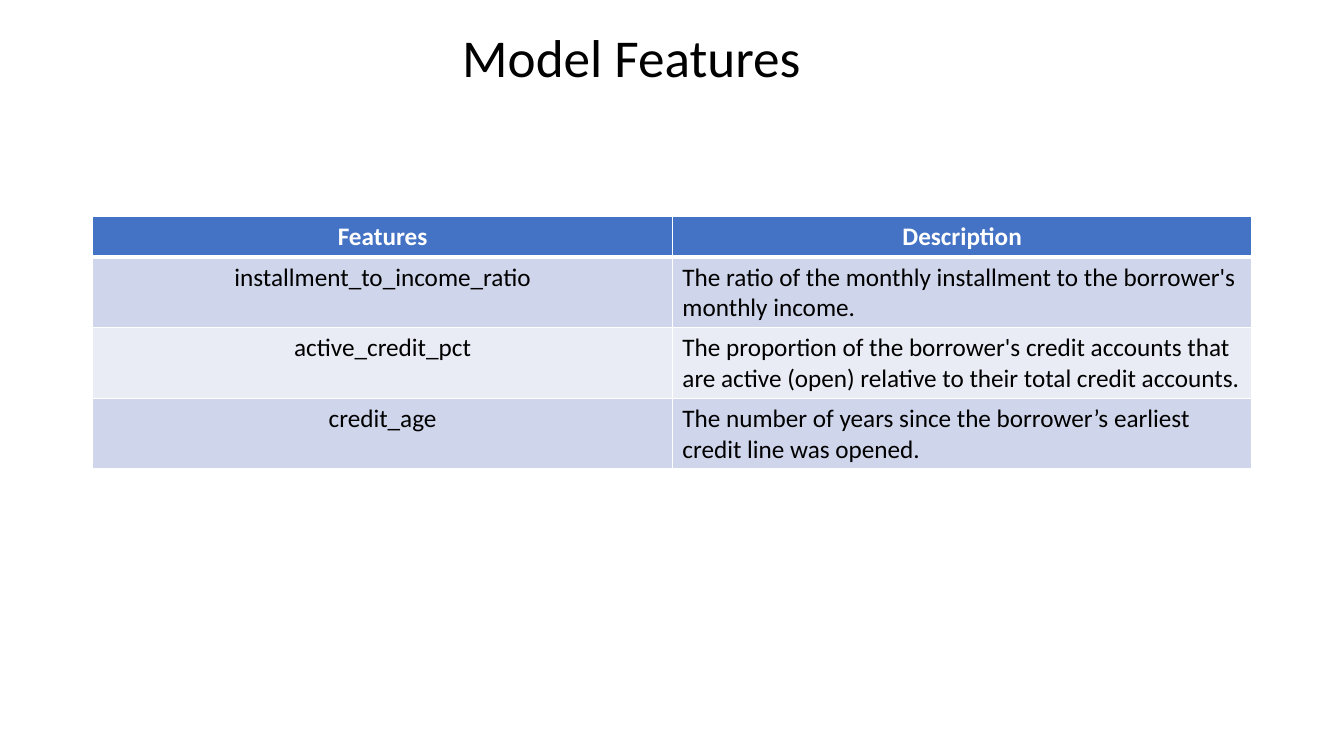
from dataclasses import dataclass

from lxml.etree import SubElement
from pptx import Presentation
from pptx.dml.color import RGBColor
from pptx.enum.text import MSO_ANCHOR, PP_ALIGN
from pptx.oxml.ns import qn
from pptx.util import Cm, Pt

TITLE = "Model Features"
HEADER = ("Features", "Description")
FEATURES = [
    ("installment_to_income_ratio",
     "The ratio of the monthly installment to the borrower's monthly income."),
    ("active_credit_pct",
     "The proportion of the borrower's credit accounts that are active (open) "
     "relative to their total credit accounts."),
    ("credit_age",
     "The number of years since the borrower’s earliest credit line was opened."),
]


@dataclass(frozen=True)
class Theme:
    font: str = "Calibri"
    title_size: int = 38
    table_size: int = 18
    ink: str = "000000"
    white: str = "FFFFFF"
    header_fill: str = "4472C4"
    band_fills: tuple = ("CFD5EA", "E9EBF5")
    thin_rule: int = 1
    thick_rule: int = 3


THEME = Theme()
CONTENT_WIDTH = Cm(29.21)
HEADER_HEIGHT = Cm(1.03)
FEATURE_HEIGHT = Cm(1.78)


def add_span(para, text, size, color, bold=False):
    span = para.add_run()
    span.text = text
    span.font.name = THEME.font
    span.font.size = Pt(size)
    span.font.bold = bold
    span.font.color.rgb = RGBColor.from_string(color)


def add_border(cell, side, width):
    line = SubElement(cell._tc.get_or_add_tcPr(), qn(f"a:{side}"), w=str(Pt(width)))
    fill = SubElement(line, qn("a:solidFill"))
    SubElement(fill, qn("a:srgbClr"), val=THEME.white)


def add_title(page):
    box = page.shapes.add_textbox(Cm(11.4), Cm(-0.33), CONTENT_WIDTH, Cm(3.68))
    frame = box.text_frame
    frame.word_wrap = True
    frame.vertical_anchor = MSO_ANCHOR.MIDDLE
    para = frame.paragraphs[0]
    para.line_spacing = 0.9
    add_span(para, TITLE, THEME.title_size, THEME.ink)


def fill_cell(cell, text, row, column):
    is_header = row == 0
    para = cell.text_frame.paragraphs[0]
    centered = is_header or column == 0
    para.alignment = PP_ALIGN.CENTER if centered else PP_ALIGN.LEFT
    color = THEME.white if is_header else THEME.ink
    add_span(para, text, THEME.table_size, color, is_header)
    for side in ("lnL", "lnR", "lnT", "lnB"):
        header_rule = (row, side) in ((0, "lnB"), (1, "lnT"))
        add_border(cell, side, THEME.thick_rule if header_rule else THEME.thin_rule)
    band = THEME.band_fills[(row - 1) % len(THEME.band_fills)]
    cell.fill.solid()
    cell.fill.fore_color.rgb = RGBColor.from_string(
        THEME.header_fill if is_header else band)


def add_feature_table(page):
    rows = [HEADER, *FEATURES]
    height = HEADER_HEIGHT + FEATURE_HEIGHT * len(FEATURES)
    table = page.shapes.add_table(
        len(rows), len(HEADER), Cm(2.34), Cm(5.45), CONTENT_WIDTH, height).table
    for row, texts in enumerate(rows):
        table.rows[row].height = FEATURE_HEIGHT if row else HEADER_HEIGHT
        for column, text in enumerate(texts):
            fill_cell(table.cell(row, column), text, row, column)


def main():
    deck = Presentation()
    deck.slide_width, deck.slide_height = Cm(33.87), Cm(19.05)
    page = deck.slides.add_slide(deck.slide_layouts[6])
    add_title(page)
    add_feature_table(page)
    deck.save("out.pptx")


if __name__ == "__main__":
    main()
